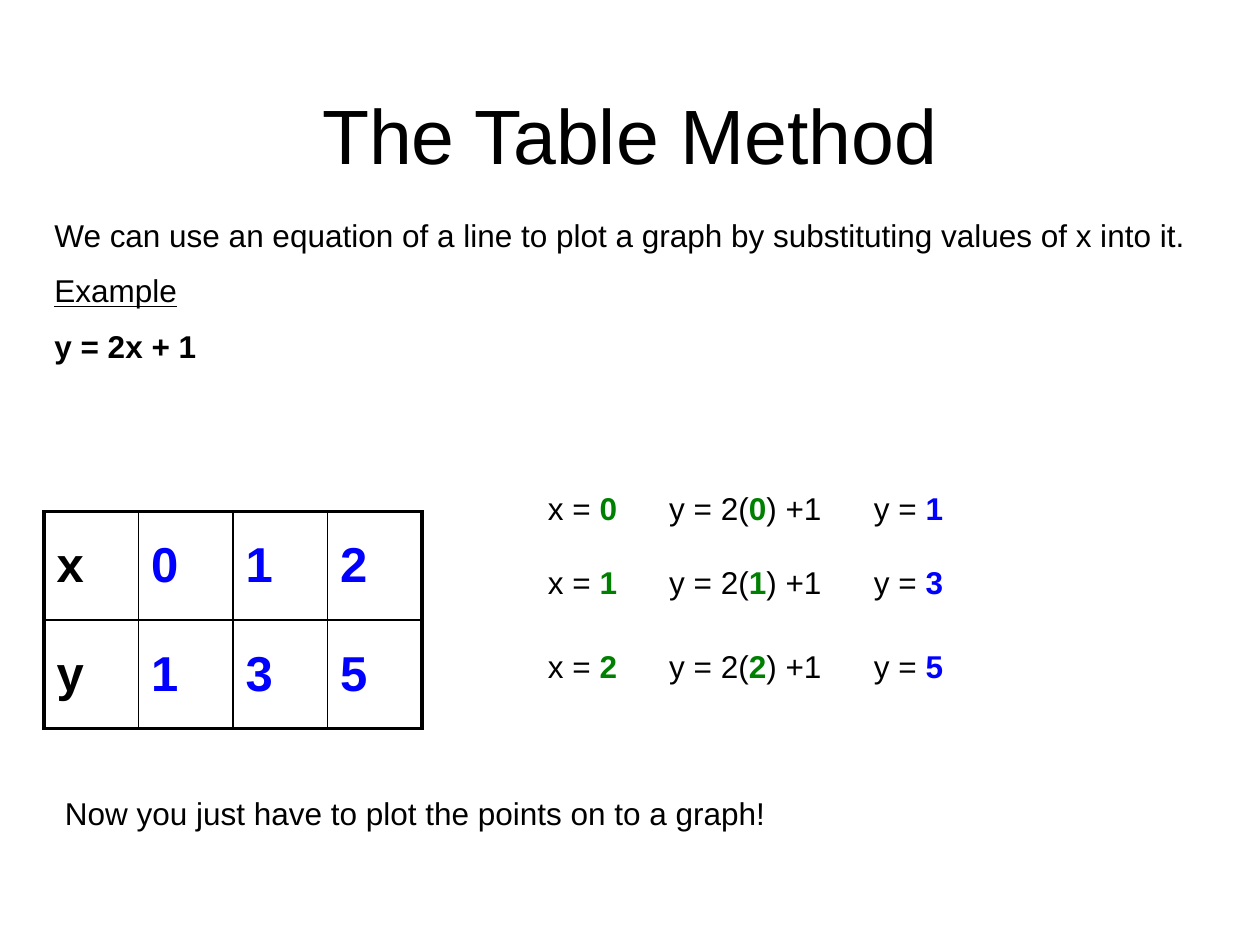
from lxml import etree
from pptx import Presentation
from pptx.dml.color import RGBColor
from pptx.enum.text import MSO_ANCHOR, PP_ALIGN
from pptx.oxml.ns import qn
from pptx.util import Pt

MIDDLE = MSO_ANCHOR.MIDDLE
LEFT, CENTER = PP_ALIGN.LEFT, PP_ALIGN.CENTER
BLACK = RGBColor(0x00, 0x00, 0x00)
GREEN = RGBColor(0x00, 0x80, 0x00)
BLUE = RGBColor(0x00, 0x00, 0xFF)

TITLE = {"name": "Arial", "size": Pt(44)}
BODY = {"name": "Arial", "size": Pt(18)}
STRONG = {**BODY, "bold": True}
UNDERLINED = {**BODY, "underline": True}
VALUE = {"name": "Arial", "size": Pt(28), "bold": True}

OUTER_LINE, INNER_LINE = Pt(2.25), Pt(1)
EQUATION_TABS = Pt(69.3), Pt(186.3)


def add_run(paragraph, text, style, color=BLACK):
    run = paragraph.add_run()
    run.text = text
    for attribute, value in style.items():
        setattr(run.font, attribute, value)
    run.font.color.rgb = color


def add_text_frame(slide, box):
    frame = slide.shapes.add_textbox(*map(Pt, box)).text_frame
    frame.word_wrap = True
    return frame


def place_title(slide, box, text):
    title = slide.shapes.title
    title.left, title.top, title.width, title.height = map(Pt, box)
    title.text_frame.vertical_anchor = MIDDLE
    paragraph = title.text_frame.paragraphs[0]
    paragraph.alignment = CENTER
    add_run(paragraph, text, TITLE)


def place_text(slide, box, lines):
    frame = add_text_frame(slide, box)
    for index, (text, style) in enumerate(lines):
        paragraph = frame.add_paragraph() if index else frame.paragraphs[0]
        if index:
            paragraph.space_before = Pt(10)
        add_run(paragraph, text, style)


def place_substitution(slide, box, x, y):
    paragraph = add_text_frame(slide, box).paragraphs[0]
    tab_list = etree.SubElement(paragraph._p.get_or_add_pPr(), qn("a:tabLst"))
    for position in EQUATION_TABS:
        etree.SubElement(tab_list, qn("a:tab"), pos=str(int(position)), algn="l")
    add_run(paragraph, "x = ", BODY)
    add_run(paragraph, str(x), STRONG, GREEN)
    add_run(paragraph, "\ty = 2(", BODY)
    add_run(paragraph, str(x), STRONG, GREEN)
    add_run(paragraph, ") +1\ty = ", BODY)
    add_run(paragraph, str(y), STRONG, BLUE)


def set_borders(cell, widths):
    properties = cell._tc.get_or_add_tcPr()
    for side, width in widths.items():
        line = etree.SubElement(properties, qn(f"a:ln{side}"), w=str(int(width)))
        fill = etree.SubElement(line, qn("a:solidFill"))
        etree.SubElement(fill, qn("a:srgbClr"), val=str(BLACK))


def place_value_table(slide, box, rows):
    row_count, column_count = len(rows), len(rows[0])
    table = slide.shapes.add_table(row_count, column_count, *map(Pt, box)).table
    table.first_row = table.horz_banding = False
    for r, values in enumerate(rows):
        for c, value in enumerate(values):
            cell = table.cell(r, c)
            at_edge = {
                "L": c == 0,
                "R": c == column_count - 1,
                "T": r == 0,
                "B": r == row_count - 1,
            }
            set_borders(cell, {side: OUTER_LINE if edge else INNER_LINE
                               for side, edge in at_edge.items()})
            cell.fill.background()
            cell.vertical_anchor = MIDDLE
            paragraph = cell.text_frame.paragraphs[0]
            paragraph.alignment = LEFT
            add_run(paragraph, str(value), VALUE, BLUE if c else BLACK)


def main():
    presentation = Presentation()
    presentation.slide_width, presentation.slide_height = Pt(720), Pt(540)
    slide = presentation.slides.add_slide(presentation.slide_layouts[5])

    x_values = [0, 1, 2]
    y_values = [2 * x + 1 for x in x_values]

    place_title(slide, (54, 31.5, 612, 90), "The Table Method")
    place_text(slide, (24, 120, 672, 323), [
        ("We can use an equation of a line to plot a graph by "
         "substituting values of x into it.", BODY),
        ("Example", UNDERLINED),
        ("y = 2x + 1", STRONG),
    ])
    for top, x, y in zip((276, 318, 366), x_values, y_values):
        place_substitution(slide, (306, top, 350, 36), x, y)
    place_text(slide, (30, 450, 648, 36), [
        ("Now you just have to plot the points on to a graph!", BODY),
    ])
    place_value_table(slide, (25.2, 292.4, 216, 124),
                      [["x", *x_values], ["y", *y_values]])

    presentation.save("out.pptx")


if __name__ == "__main__":
    main()
